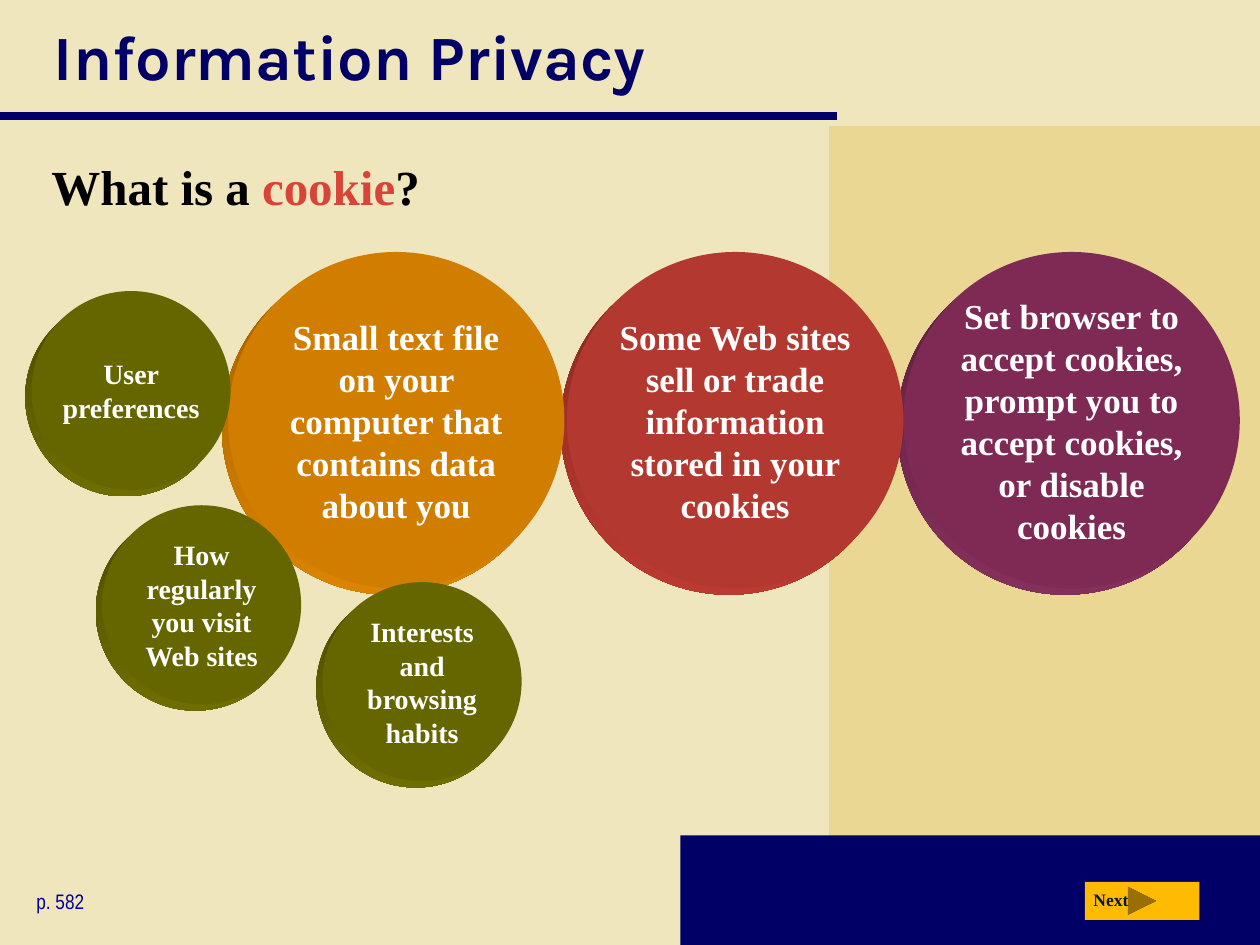
from pptx import Presentation
from pptx.dml.color import RGBColor
from pptx.enum import shapes, text
from pptx.oxml import parse_xml
from pptx.oxml.ns import nsdecls
from pptx.util import Inches, Pt

SERIF = "Times New Roman"
NAVY = "000066"
DEPTH = 0.05
LARGE, SMALL = (2.67, 20), (1.58, 16)
PURPLE = ("7E2A54", "5A1E3C", "85305C")
RED = ("B23830", "85291F", "BC3A32")
ORANGE = ("D17D00", "A05F00", "DB8400")
OLIVE = ("666600", "4A4A00", "6E6E00")

PANELS = [
    (6.58, 1, 3.42, 6.5, "E9D793"),
    (5.4, 6.63, 4.6, 0.87, NAVY),
]
HEADINGS = [
    ((0.33, 0, 9.39, 0.88), text.MSO_ANCHOR.MIDDLE, "Karla", 36, True,
     [("Information Privacy", NAVY)]),
    ((0.31, 1.19, 9.39, 0.81), text.MSO_ANCHOR.TOP, SERIF, 28, True,
     [("What is a ", "000000"), ("cookie", "D94439"), ("?", "000000")]),
    ((0.19, 7, 1.69, 0.3), text.MSO_ANCHOR.TOP, "Arial Narrow", 12, False,
     [("p. 582", "000099")]),
]
NEXT_LABEL = ((8.58, 7.01, 0.51, 0.27), text.MSO_ANCHOR.TOP, SERIF, 10, True,
              [("Next", "001932")])
DISCS = [
    (7.17, 2, LARGE, PURPLE,
     "Set browser to accept cookies, prompt you to accept cookies, or disable cookies"),
    (4.5, 2, LARGE, RED,
     "Some Web sites sell or trade information stored in your cookies"),
    (1.81, 2, LARGE, ORANGE,
     "Small text file on your computer that contains data about you"),
    (0.25, 2.31, SMALL, OLIVE, "User preferences"),
    (2.56, 4.62, SMALL, OLIVE, "Interests and browsing habits"),
    (0.81, 4.01, SMALL, OLIVE, "How regularly you visit Web sites"),
]


def rgb(color):
    return RGBColor.from_string(color)


def add_run(p, words, font, size, bold, color):
    r = p.add_run()
    r.text = words
    r.font.name = font
    r.font.size = Pt(size)
    r.font.bold = bold
    r.font.color.rgb = rgb(color)


def add_shape(s, kind, box, color):
    sp = s.shapes.add_shape(kind, *map(Inches, box))
    sp.shadow.inherit = False
    sp.fill.solid()
    sp.fill.fore_color.rgb = rgb(color)
    sp.line.fill.background()
    return sp


def add_text(s, box, anchor, font, size, bold, runs):
    tf = s.shapes.add_textbox(*map(Inches, box)).text_frame
    tf.word_wrap = True
    tf.vertical_anchor = anchor
    for words, color in runs:
        add_run(tf.paragraphs[0], words, font, size, bold, color)


def add_disc(s, left, top, style, colors, words):
    size, points = style
    face, dark, light = colors
    oval = shapes.MSO_SHAPE.OVAL
    side = add_shape(s, oval, (left - DEPTH, top + DEPTH, size, size), dark)
    side.fill.gradient()
    side.fill.gradient_angle = 270
    for stop, color in zip(side.fill.gradient_stops, (dark, light)):
        stop.color.rgb = rgb(color)
    tf = add_shape(s, oval, (left, top, size, size), face).text_frame
    tf.word_wrap = True
    tf.vertical_anchor = text.MSO_ANCHOR.MIDDLE
    tf.margin_left = tf.margin_right = tf.margin_top = tf.margin_bottom = 0
    p = tf.paragraphs[0]
    p.alignment = text.PP_ALIGN.CENTER
    add_run(p, words, SERIF, points, True, "FFFFFF")


def add_rule(s, y, end):
    rule = s.shapes.add_connector(shapes.MSO_CONNECTOR.STRAIGHT, 0, Inches(y),
                                  Inches(end), Inches(y))
    rule.line.color.rgb = rgb(NAVY)
    rule.line.width = Pt(5)
    rule._element.spPr.append(parse_xml(f"<a:effectLst {nsdecls('a')}/>"))


def main():
    prs = Presentation()
    prs.slide_width, prs.slide_height = Inches(10), Inches(7.5)
    s = prs.slides.add_slide(prs.slide_layouts[6])
    s.background.fill.solid()
    s.background.fill.fore_color.rgb = rgb("F0E6BE")
    for *box, color in PANELS:
        add_shape(s, shapes.MSO_SHAPE.RECTANGLE, box, color)
    add_rule(s, 0.92, 6.64)
    for heading in HEADINGS:
        add_text(s, *heading)
    add_shape(s, shapes.MSO_SHAPE.ACTION_BUTTON_FORWARD_OR_NEXT,
              (8.61, 7, 0.91, 0.3), "FFBA02")
    add_text(s, *NEXT_LABEL)
    for disc in DISCS:
        add_disc(s, *disc)
    prs.save("out.pptx")


if __name__ == "__main__":
    main()
